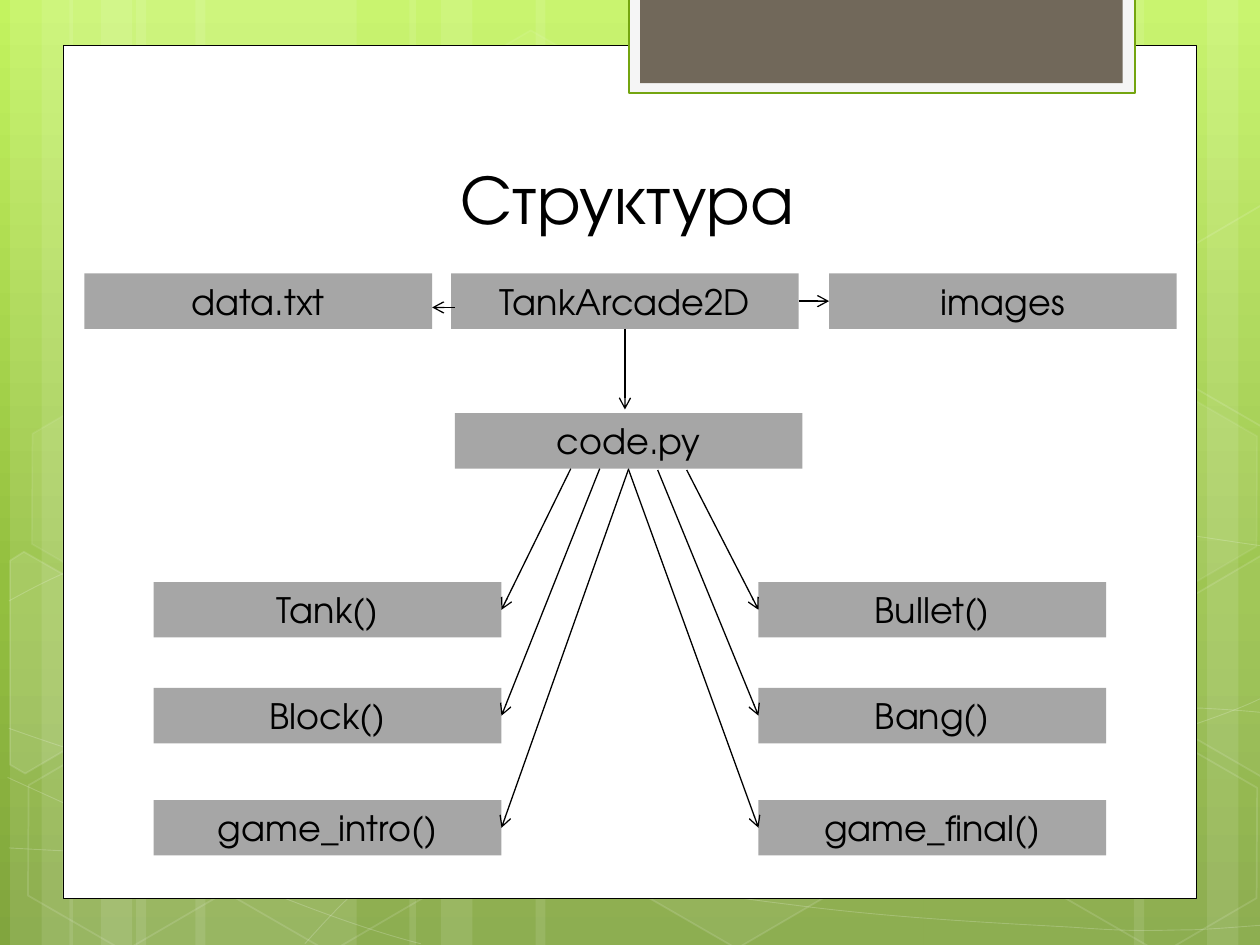
import copy
from collections import namedtuple

import pptx
import pptx.dml.color
import pptx.enum.shapes
import pptx.enum.text
import pptx.oxml
import pptx.oxml.ns
import pptx.util
from pptx.dml.color import RGBColor
from pptx.util import Inches

WHITE = RGBColor(0xFF, 0xFF, 0xFF)
BLACK = RGBColor(0x00, 0x00, 0x00)
LIGHT_GREEN = RGBColor(0xC3, 0xF3, 0x5F)
MIDDLE_GREEN = RGBColor(0x93, 0xBF, 0x3F)
DARK_GREEN = RGBColor(0x81, 0xA5, 0x3E)
TAB_GREEN = RGBColor(0x74, 0xA5, 0x10)
TAB_PAPER = RGBColor(0xF5, 0xF5, 0xF5)
TAB_BROWN = RGBColor(0x71, 0x68, 0x5A)
GRAY = RGBColor(0xA6, 0xA6, 0xA6)
FONT = "TeX Gyre Adventor"
RECTANGLE = pptx.enum.shapes.MSO_SHAPE.RECTANGLE
HEXAGON = pptx.enum.shapes.MSO_SHAPE.HEXAGON

Box = namedtuple("Box", "left top width height")

STRIPES = [
    (1.08, 1.75), (0.08, 0.5), (0.33, 0.83), (1.55, 1.75), (0.55, 0.5), (0.8, 0.83),
    (7.33, 1.75), (9.58, 0.5), (9, 0.83), (4.25, 3.08), (3.25, 0.5), (3.5, 0.83),
]
WAVES = [
    [(0.07, 6.73), (0.61, 6.76), (1.15, 6.79), (1.9, 6.78), (2.65, 6.77), (3.58, 6.75),
     (4.58, 6.65), (5.58, 6.55), (7, 6.36), (7.92, 6.17), (8.83, 5.98), (9.77, 5.68),
     (10.07, 5.51)],
    [(0.07, 4.77), (0.36, 4.61), (0.65, 4.46), (1.21, 4.31), (1.78, 4.16), (2.59, 3.94),
     (3.47, 3.87), (4.36, 3.8), (5.44, 3.79), (6.54, 3.87), (7.64, 3.95), (9.47, 4.26),
     (10.07, 4.34)],
    [(0.06, 6.17), (1.27, 6.72), (2.47, 7.27), (3.34, 7.49)],
    [(0.07, 5.78), (0.38, 5.89), (0.7, 6), (1.28, 6.16), (1.86, 6.31), (2.73, 6.56),
     (3.57, 6.73), (4.4, 6.9), (5.45, 7.08), (6.28, 7.18), (7.11, 7.29), (8, 7.33),
     (8.53, 7.36), (9.05, 7.4), (9.19, 7.38), (9.45, 7.38), (9.71, 7.37), (9.89, 7.35),
     (10.07, 7.34)],
    [(2.42, 7.49), (2.6, 7.29), (2.78, 7.09), (3.02, 6.91), (3.26, 6.73), (3.6, 6.53),
     (3.88, 6.39), (4.16, 6.25), (4.33, 6.19), (4.7, 6.09), (5.06, 5.99), (5.73, 5.85),
     (6.08, 5.78), (6.44, 5.71), (6.49, 5.71), (6.8, 5.69), (7.11, 5.66), (7.6, 5.63),
     (7.94, 5.62), (8.29, 5.61), (8.86, 5.62), (8.86, 5.62), (9.08, 5.62), (9.31, 5.62),
     (9.53, 5.62), (9.71, 5.63), (9.88, 5.64), (10.06, 5.66)],
]
HEXAGONS = [
    (3.34, 0.36, 4, 8), (4.97, 5.89, 6, 12), (0.11, 5.91, 0, 12), (0.14, 3.12, 7, 8),
    (1.74, 5.92, 0, 12), (8.34, 5.93, 0, 12), (8.34, 3.14, 7, 8),
]
CUT_HEXAGONS = [
    ([(0.08, 4.45), (0.19, 4.38), (0.96, 4.82), (0.95, 5.7), (0.2, 6.14), (0.08, 6.07)], 10),
    ([(9.26, 4.85), (10.01, 4.41), (10.09, 4.46), (10.09, 6.13), (10.02, 6.17), (9.26, 5.73)], 4),
    ([(9.26, 2.07), (10.01, 1.63), (10.1, 1.68), (10.09, 3.35), (10.02, 3.39), (9.26, 2.95)], 0),
]


def paint(fill, color, opacity=100):
    """Apply a solid colour with an opacity in percent, or no fill at zero."""
    if not opacity:
        fill.background()
        return
    fill.solid()
    fill.fore_color.rgb = color
    if opacity < 100:
        element = fill._xPr.find(".//" + pptx.oxml.ns.qn("a:srgbClr"))
        alpha = pptx.oxml.parse_xml(f'<a:alpha {pptx.oxml.ns.nsdecls("a")} val="{opacity * 1000}"/>')
        element.append(alpha)


def style(shape, fill=None, opacity=100, line=None, width=1, line_opacity=100):
    """Set the fill and outline of a shape and drop its shadow."""
    shape.shadow.inherit = False
    paint(shape.fill, fill, opacity if fill is not None else 0)
    paint(shape.line.fill, line, line_opacity if line is not None else 0)
    if line is not None:
        shape.line.width = pptx.util.Pt(width)
    return shape


def add_block(slide, box, kind=RECTANGLE, **look):
    """Add a preset shape in a box given in inches."""
    return style(slide.shapes.add_shape(kind, *map(Inches, box)), **look)


def add_outline(slide, points, closed, **look):
    """Add a freeform through points given in inches."""
    start, *rest = [(Inches(x), Inches(y)) for x, y in points]
    builder = slide.shapes.build_freeform(*start)
    builder.add_line_segments(rest, close=closed)
    return style(builder.convert_to_shape(), **look)


def bend(shape):
    """Turn each three straight segments of a freeform into one cubic curve."""
    qn = pptx.oxml.ns.qn
    segments = list(shape._element.iter(qn("a:lnTo")))
    for first in range(0, len(segments), 3):
        curve, *others = segments[first:first + 3]
        curve.tag = qn("a:cubicBezTo")
        for segment in others:
            curve.append(segment[0])
            segment.getparent().remove(segment)


def write_text(shape, text, size=20, anchor=pptx.enum.text.MSO_ANCHOR.MIDDLE):
    """Write one centred line of text into a shape."""
    frame = shape.text_frame
    frame.word_wrap = True
    frame.vertical_anchor = anchor
    paragraph = frame.paragraphs[0]
    paragraph.alignment = pptx.enum.text.PP_ALIGN.CENTER
    run = paragraph.add_run()
    run.text = text
    run.font.name = FONT
    run.font.size = pptx.util.Pt(size)
    run.font.color.rgb = BLACK


def add_arrow(slide, start, end):
    """Add a thin black line with an open arrowhead at its end."""
    straight = pptx.enum.shapes.MSO_CONNECTOR.STRAIGHT
    connector = slide.shapes.add_connector(straight, *map(Inches, (*start, *end)))
    connector.line.color.rgb = BLACK
    connector.line.width = pptx.util.Pt(0.75)
    namespace = pptx.oxml.ns.nsdecls("a")
    connector.line._get_or_add_ln().append(pptx.oxml.parse_xml(f'<a:tailEnd {namespace} type="arrow"/>'))
    connector._element.spPr.append(pptx.oxml.parse_xml(f"<a:effectLst {namespace}/>"))


def draw_gradient(slide):
    """Fill the background from light to dark green, top to bottom."""
    fill = slide.background.fill
    fill.gradient()
    fill.gradient_angle = 270
    last = fill.gradient_stops[1]._gs
    last.addprevious(copy.deepcopy(last))
    colors = (LIGHT_GREEN, MIDDLE_GREEN, DARK_GREEN)
    for stop, color, position in zip(fill.gradient_stops, colors, (0, 0.62, 1)):
        stop.color.rgb = color
        stop.position = position


def draw_backdrop(slide, box):
    """Draw the translucent stripes, waves and hexagons."""
    def shifted(points):
        return [(box.left + x, box.top + y) for x, y in points]

    for left, width in STRIPES:
        add_block(slide, Box(box.left + left, box.top, width, box.height), fill=WHITE, opacity=10)
    for controls in WAVES:
        bend(add_outline(slide, shifted(controls), False, line=WHITE, width=0.5, line_opacity=20))
    for left, top, opacity, line_opacity in HEXAGONS:
        hexagon = add_block(slide, Box(box.left + left, box.top + top, 1.75, 1.52), HEXAGON,
                            fill=WHITE, opacity=opacity, line=WHITE, line_opacity=line_opacity)
        hexagon.adjustments[0] = 0.285
        hexagon.adjustments[1] = 1.155
        hexagon.rotation = 30
    for points, opacity in CUT_HEXAGONS:
        add_outline(slide, shifted(points), True, fill=WHITE, opacity=opacity, line=WHITE, line_opacity=12)


def draw_panel(slide, box):
    """Draw the white panel, its top tab and the title."""
    add_block(slide, box, fill=WHITE, line=BLACK, width=0.5)
    tab = Box(box.left + 4.49, box.top - 0.38, 4.02, 0.76)
    add_block(slide, tab, fill=TAB_PAPER, line=TAB_GREEN, width=1.25)
    add_block(slide, Box(tab.left + 0.09, tab.top, 3.83, 0.68), fill=TAB_BROWN)
    title_box = Box(box.left + 0.64, box.top + 0.77, 7.68, 0.81)
    title = slide.shapes.add_textbox(*map(Inches, title_box))
    write_text(title, "Структура", size=40, anchor=pptx.enum.text.MSO_ANCHOR.BOTTOM)


def draw_structure(slide, box):
    """Draw the project tree with its labelled boxes and arrows."""
    width, height = 2.76, 0.44
    left_column, right_column = 0.55, 5.35
    nodes = [("data.txt", 0, 0), ("TankArcade2D", 2.91, 0), ("images", 5.91, 0), ("code.py", 2.94, 1.11)]
    rows = [("Tank()", "Bullet()", 2.45), ("Block()", "Bang()", 3.29), ("game_intro()", "game_final()", 4.18)]
    arrows = [((2.94, 0.27), (2.76, 0.27)), ((5.67, 0.22), (5.91, 0.22)), ((4.29, 0.44), (4.29, 1.08))]
    for index, (left_name, right_name, top) in enumerate(rows):
        nodes += [(left_name, left_column, top), (right_name, right_column, top)]
        offset, middle = 0.23 * (2 - index), top + height / 2
        arrows += [((4.32 - offset, 1.55), (left_column + width, middle)),
                   ((4.32 + offset, 1.56), (right_column, middle))]
    for name, left, top in nodes:
        node = add_block(slide, Box(box.left + left, box.top + top, width, height), fill=GRAY)
        write_text(node, name)
    for ends in arrows:
        add_arrow(slide, *((box.left + x, box.top + y) for x, y in ends))


def main():
    """Build the slide and save it."""
    presentation = pptx.Presentation()
    presentation.slide_width, presentation.slide_height = Inches(10), Inches(7.5)
    slide = presentation.slides.add_slide(presentation.slide_layouts[6])
    draw_gradient(slide)
    draw_backdrop(slide, Box(0, 0, 10, 7.5))
    draw_panel(slide, Box(0.5, 0.36, 9, 6.77))
    draw_structure(slide, Box(0.67, 2.17, 8.67, 4.62))
    presentation.save("out.pptx")


if __name__ == "__main__":
    main()
